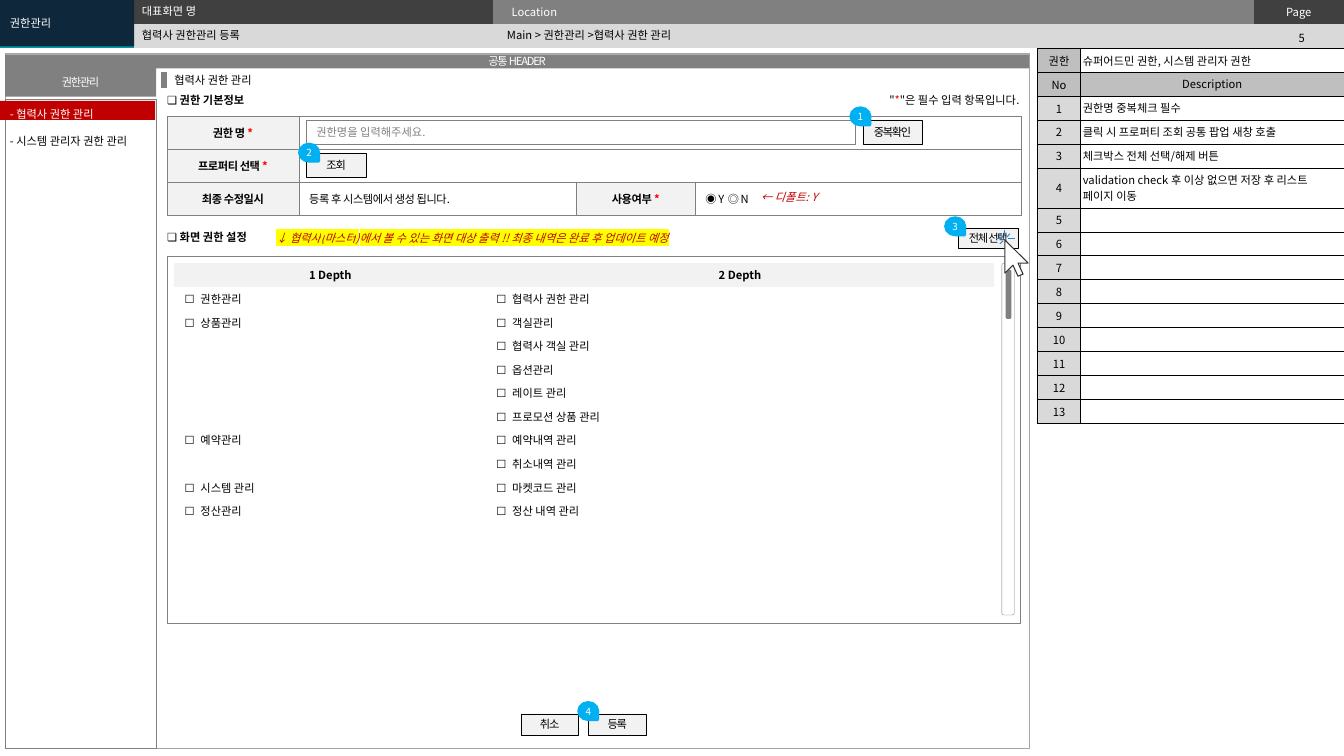
from lxml import etree
from pptx import Presentation
from pptx.dml.color import RGBColor
from pptx.enum.shapes import MSO_CONNECTOR, MSO_SHAPE
from pptx.enum.text import MSO_ANCHOR, PP_ALIGN
from pptx.oxml.ns import qn
from pptx.util import Pt

RECT, ROUND, DROP = MSO_SHAPE.RECTANGLE, MSO_SHAPE.ROUNDED_RECTANGLE, MSO_SHAPE.TEAR
LEFT, CENTER, RIGHT = PP_ALIGN.LEFT, PP_ALIGN.CENTER, PP_ALIGN.RIGHT
TOP, MIDDLE = MSO_ANCHOR.TOP, MSO_ANCHOR.MIDDLE
FONT = "Noto Sans CJK KR"
NO_STYLE = "{2D5ABB26-0587-4C30-8999-92F81FD0307C}"
COLORS = {
    "black": "000000", "white": "FFFFFF", "navy": "0E273B", "teal": "009CA6",
    "dark": "404040", "gray": "808080", "frame": "A6A6A6", "label": "BFBFBF",
    "light": "D9D9D9", "pale": "F2F2F2", "red": "FF0000", "crimson": "C00000",
    "yellow": "FFFF00", "badge": "00B0F0", "click": "3483CB", "outline": "333333",
}
PERMISSIONS = [
    ("권한관리", ["협력사 권한 관리"]),
    ("상품관리", ["객실관리", "협력사 객실 관리", "옵션관리", "레이트 관리", "프로모션 상품 관리"]),
    ("예약관리", ["예약내역 관리", "취소내역 관리"]),
    ("시스템 관리", ["마켓코드 관리"]),
    ("정산관리", ["정산 내역 관리"]),
]
NOTES = ["권한명 중복체크 필수", "클릭 시 프로퍼티 조회 공통 팝업 새창 호출",
         "체크박스 전체 선택/해제 버튼",
         "validation check 후 이상 없으면 저장 후 리스트\n페이지 이동"] + [""] * 9


def rgb(name):
    return RGBColor.from_string(COLORS[name])


def write(frame, text, color="black", size=8, align=LEFT, bold=False, italic=False,
          spacing=0, line_spacing=None, tab=None, highlight=None):
    """Fill a text frame: one paragraph a line, each asterisk in red."""
    for number, line in enumerate(text.split("\n")):
        paragraph = frame.add_paragraph() if number else frame.paragraphs[0]
        paragraph.alignment = align
        if line_spacing:
            paragraph.line_spacing = line_spacing
        properties = paragraph._p.get_or_add_pPr()
        if tab:
            tabs = etree.SubElement(properties, qn("a:tabLst"))
            etree.SubElement(tabs, qn("a:tab"), pos=str(Pt(tab)), algn="l")
        font = paragraph.font
        font.size, font.name, font.bold, font.italic = Pt(size), FONT, bold, italic
        font.color.rgb = rgb(color)
        defaults = properties.find(qn("a:defRPr"))
        etree.SubElement(defaults, qn("a:ea"), typeface=FONT)
        if spacing:
            defaults.set("spc", str(round(spacing * 100)))
        before, star, after = line.partition("*")
        for part in filter(None, (before, star, after)):
            run = paragraph.add_run()
            run.text = part
            if part == "*":
                run.font.color.rgb = rgb("red")
            if highlight:
                mark = etree.SubElement(run._r.get_or_add_rPr(), qn("a:highlight"))
                etree.SubElement(mark, qn("a:srgbClr"), val=COLORS[highlight])
        if not line:
            etree.SubElement(paragraph._p, qn("a:endParaRPr"), sz=str(size * 100))


def set_margins(target, side, end):
    target.margin_left = target.margin_right = Pt(side)
    target.margin_top = target.margin_bottom = Pt(end)


def paint(shape, fill=None, line=None, width=0.25):
    shape.shadow.inherit = False
    if fill:
        shape.fill.solid()
        shape.fill.fore_color.rgb = rgb(fill)
    else:
        shape.fill.background()
    if line:
        shape.line.color.rgb = rgb(line)
        shape.line.width = Pt(width)
    else:
        shape.line.fill.background()


def add_box(slide, left, top, width, height, fill=None, line=None, text="",
            kind=RECT, line_width=0.25, margins=(7.2, 3.6), **style):
    box = slide.shapes.add_shape(kind, Pt(left), Pt(top), Pt(width), Pt(height))
    paint(box, fill, line, line_width)
    if text:
        frame = box.text_frame
        set_margins(frame, *margins)
        frame.vertical_anchor = MIDDLE
        write(frame, text, **style)
    return box


def add_button(slide, left, top, width, height, text):
    add_box(slide, left, top, width, height, "pale", "black", text,
            margins=(0, 0), align=CENTER, spacing=-0.9)


def add_badge(slide, left, top, number):
    badge = add_box(slide, left, top, 12.3, 13.7, "badge", "badge", str(number), kind=DROP,
                    line_width=2, margins=(0, 0), color="white", size=7, align=CENTER)
    badge.rotation = 90
    badge._element.txBody.find(qn("a:bodyPr")).set("vert", "vert270")


def add_text(slide, left, top, width, height, text, anchor=TOP, **style):
    frame = slide.shapes.add_textbox(Pt(left), Pt(top), Pt(width), Pt(height)).text_frame
    frame.word_wrap = True
    frame.vertical_anchor = anchor
    write(frame, text, **style)


def add_grid(slide, left, top, columns, rows):
    """Add a table without a style."""
    table = slide.shapes.add_table(len(rows), len(columns), Pt(left), Pt(top),
                                   Pt(sum(columns)), Pt(sum(rows))).table
    table.first_row = table.horz_banding = False
    table._tbl.tblPr.find(qn("a:tableStyleId")).text = NO_STYLE
    for column, width in zip(table.columns, columns):
        column.width = Pt(width)
    for row, height in zip(table.rows, rows):
        row.height = Pt(height)
    return table


def fill_cell(cell, text="", fill=None, border=None, border_width=0.25,
              margins=(7.2, 2.6), anchor=MIDDLE, **style):
    set_margins(cell, *margins)
    cell.vertical_anchor = anchor
    if border:
        for side in ("lnL", "lnR", "lnT", "lnB"):
            edge = etree.SubElement(cell._tc.get_or_add_tcPr(), qn("a:" + side),
                                    w=str(Pt(border_width)))
            solid = etree.SubElement(edge, qn("a:solidFill"))
            etree.SubElement(solid, qn("a:srgbClr"), val=COLORS[border])
    if fill:
        cell.fill.solid()
        cell.fill.fore_color.rgb = rgb(fill)
    write(cell.text_frame, text, **style)


def add_strokes(slide, strokes, closed, fill, line):
    """Draw lists of points as one outline."""
    points = [[(Pt(x), Pt(y)) for x, y in stroke] for stroke in strokes]
    builder = slide.shapes.build_freeform(*points[0][0])
    for number, (start, *rest) in enumerate(points):
        if number:
            builder.move_to(*start)
        builder.add_line_segments(rest, close=closed)
    paint(builder.convert_to_shape(), fill, line, 0.75)


def add_title_bar(slide):
    table = add_grid(slide, 0, 0, [95.5, 257, 543, 64.5], [17.1, 17.1])
    cells = [[("", "teal"), ("", "dark"), ("Location", "gray"), ("Page", "dark")],
             [("", "teal")] + [("", "light")] * 3]
    for r, row in enumerate(cells):
        for c, (text, fill) in enumerate(row):
            fill_cell(table.cell(r, c), text, fill, margins=(13, 2.7), color="white",
                      align=CENTER if text == "Page" else LEFT)
    table.cell(0, 0).merge(table.cell(1, 0))
    add_text(slide, 898.6, 18.7, 62.6, 17.3, "5", align=CENTER)
    add_text(slide, 94.3, 17.3, 261.4, 15.8, "협력사 권한관리 등록", MIDDLE)
    add_text(slide, 355, 16.6, 531.4, 17.3, "Main > 권한관리 >협력사 권한 관리", MIDDLE)
    add_text(slide, 94.3, 0, 260.6, 15.8, "대표화면 명", MIDDLE, color="white")
    add_box(slide, 0, 0, 95.8, 33.1, "navy", text="권한관리", color="white")


def add_menu(slide):
    add_box(slide, 3.6, 38.2, 731.5, 496.1, line="frame")
    add_box(slide, 3.6, 70.6, 108, 463.7, line="gray")
    for top, width, height, text in ((38.9, 731.5, 10.1, "공통 HEADER"),
                                     (48.2, 108, 20.9, "권한관리")):
        add_box(slide, 3.6, top, width, height, "gray", text=text, margins=(2.9, 3.6),
                color="white", align=CENTER, spacing=-0.9)
    add_box(slide, -8.6, 72, 119.5, 13.7, "crimson")
    add_text(slide, 0, 63.4, 103.7, 43.2, "- 협력사 권한 관리\n- 시스템 관리자 권한 관리",
             line_spacing=2.0)
    menu = slide.shapes[-1].text_frame
    menu.paragraphs[0].font.color.rgb = rgb("white")


def add_description(slide):
    heights = [17.1] * 5 + [28.6] + [17.1] * 9
    table = add_grid(slide, 741, 34.5, [31, 188], heights)
    rows = [("권한", "슈퍼어드민 권한, 시스템 관리자 권한"), ("No", "Description")]
    rows += [(str(number), note) for number, note in enumerate(NOTES, 1)]
    for r, (label, note) in enumerate(rows):
        heading = note == "Description"
        common = {"border": "black", "border_width": 0.5, "margins": (1.5, 2.6)}
        fill_cell(table.cell(r, 0), label, "label" if r < 2 else "light",
                  align=CENTER, **common)
        fill_cell(table.cell(r, 1), note, "label" if heading else None, anchor=TOP,
                  align=CENTER if heading else LEFT, **common)


def add_basic_info(slide):
    add_text(slide, 117.4, 49, 173.5, 17.3, "협력사 권한 관리")
    marker = slide.shapes.add_connector(MSO_CONNECTOR.STRAIGHT, Pt(117.4), Pt(51.1),
                                        Pt(117.4), Pt(62.6))
    marker.line.color.rgb = rgb("gray")
    marker.line.width = Pt(4.5)
    etree.SubElement(marker._element.spPr, qn("a:effectLst"))
    add_text(slide, 112.3, 63.4, 129.6, 17.3, "❏ 권한 기본정보", bold=True)
    add_text(slide, 614.2, 63.4, 121, 17.3, '"*"은 필수 입력 항목입니다.', align=RIGHT)
    table = add_grid(slide, 119.2, 83.2, [94.5, 198, 85, 232.5], [23.6] * 3)
    rows = [["권한 명 *", "", "", ""], ["프로퍼티 선택 *", "", "", ""],
            ["최종 수정일시", "등록 후 시스템에서 생성 됩니다.", "사용여부 *", "◉ Y\t◎ N"]]
    for r, row in enumerate(rows):
        for c, text in enumerate(row):
            label = c == 0 or (r, c) == (2, 2)
            fill_cell(table.cell(r, c), text, "pale" if label else "white", "gray",
                      align=CENTER if label else LEFT, bold=label, spacing=-0.3,
                      tab=16 if "\t" in text else None)
    for r in (0, 1):
        table.cell(r, 1).merge(table.cell(r, 3))
    add_box(slide, 218.9, 85.7, 391.7, 17.3, "white", "gray", "권한명을 입력해주세요.",
            color="gray")
    add_button(slide, 616.3, 85.7, 42.5, 17.3, "중복확인")
    add_button(slide, 218.9, 109.4, 42.5, 17.3, "조회")
    add_text(slide, 536.4, 132.5, 62, 17.3, "← 디폴트: Y", color="crimson", italic=True)


def add_permissions(slide):
    add_text(slide, 112.3, 161.3, 129.6, 17.3, "❏ 화면 권한 설정", bold=True)
    table = add_grid(slide, 124.6, 188, [222.7, 362.5], [16.85] * 13)
    rows = [(first if not i else "", second)
            for first, children in PERMISSIONS for i, second in enumerate(children)]
    rows += [("", "")] * (12 - len(rows))
    for c in (0, 1):
        fill_cell(table.cell(0, c), f"{c + 1} Depth", "pale", align=CENTER, bold=True)
        for r, row in enumerate(rows, 1):
            fill_cell(table.cell(r, c), row[c] and "☐\t" + row[c], "white", tab=11.4)
    add_box(slide, 715.7, 188, 8.8, 251.3, "white", "gray", kind=ROUND)
    add_box(slide, 719.3, 193.7, 2.2, 33.1, "gray", "gray", kind=ROUND, line_width=2)
    add_box(slide, 119.2, 182.9, 609.8, 262.1, line="gray")
    add_button(slide, 684.7, 162.7, 42.5, 14.4, "전체 선택")
    add_text(slide, 190.1, 162.7, 305.3, 17.3,
             "↓ 협력사(마스터)에서 볼 수 있는 화면 대상 출력 !! 최종 내역은 완료 후 업데이트 예정",
             color="crimson", italic=True, highlight="yellow", line_spacing=0.9)


def add_cursor(slide):
    arrow = [(730.8, 195.8), (727.2, 187.9), (734.4, 187.9), (717.8, 171.4),
             (717.8, 195.1), (723.6, 189.4), (727.2, 197.3)]
    rays = [[(716.4, 172.1), (714.2, 174.2)], [(716.4, 169.2), (714.2, 167)],
            [(719.3, 169.2), (721.4, 167)], [(715.7, 170.6), (711.4, 170.6)],
            [(717.8, 168.5), (717.8, 164.2)], [(720, 170.6), (725, 170.6)]]
    add_strokes(slide, [arrow], True, "white", "outline")
    add_strokes(slide, rays, False, None, "click")


def main():
    deck = Presentation()
    deck.slide_width, deck.slide_height = Pt(960), Pt(540)
    slide = deck.slides.add_slide(deck.slide_layouts[6])
    add_title_bar(slide)
    add_menu(slide)
    add_description(slide)
    add_basic_info(slide)
    add_permissions(slide)
    add_cursor(slide)
    for left, text in ((372.2, "취소"), (420.5, "등록")):
        add_button(slide, left, 509.8, 41, 15.1, text)
    badges = [(608.4, 76.3), (214.6, 102.2), (676.1, 154.8), (414, 501.1)]
    for number, (left, top) in enumerate(badges, 1):
        add_badge(slide, left, top, number)
    deck.save("out.pptx")


if __name__ == "__main__":
    main()
